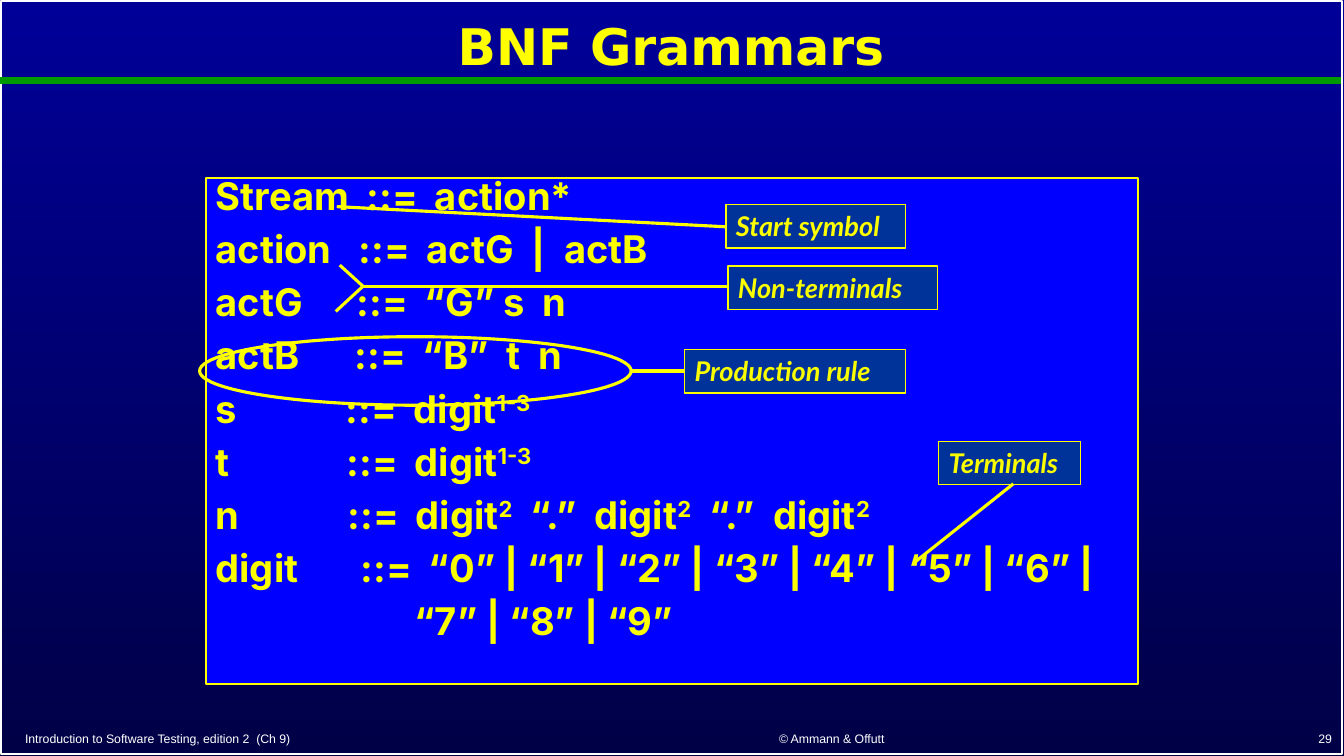
from dataclasses import dataclass

from lxml.etree import SubElement
from pptx import Presentation
from pptx.dml.color import RGBColor
from pptx.enum.shapes import MSO_CONNECTOR, MSO_SHAPE
from pptx.enum.text import MSO_ANCHOR, PP_ALIGN
from pptx.oxml.ns import qn
from pptx.util import Inches, Pt


@dataclass(frozen=True)
class Theme:
    """Colours, fonts and sizes of the deck."""
    top: str = "000099"
    bottom: str = "000047"
    white: str = "FFFFFF"
    green: str = "009900"
    yellow: str = "FFFF00"
    lemon: str = "FAFD00"
    panel: str = "0000FF"
    label: str = "003399"
    title_size: float = 36
    grammar_size: float = 27.2
    label_size: float = 19.4
    footer_size: float = 8.8


@dataclass(frozen=True)
class Box:
    """A region measured in grid cells; one cell is a tenth of an inch."""
    column: float
    row: float
    width: float
    height: float

    def inner(self, column, row, width, height):
        """Return a box placed relative to this one."""
        return Box(self.column + column, self.row + row, width, height)

    def emu(self):
        """Return left, top, width and height for python-pptx."""
        return [cells(v) for v in (self.column, self.row, self.width, self.height)]


THEME = Theme()
GRID = Box(0, 0, 133.3, 75)

# Symbol, column of "::=", right-hand side; carets enclose superscripts.
RULES = [
    ("Stream", 15.0, "action*"),
    ("action", 14.2, "actG  |  actB"),
    ("actG", 14.0, "“G” s  n"),
    ("actB", 13.8, "“B”  t  n"),
    ("s", 12.9, "digit^1-3^"),
    ("t", 13.0, "digit^1-3^"),
    ("n", 13.1, "digit^2^  “.”  digit^2^  “.”  digit^2^"),
    ("digit", 14.4, " | ".join(f"“{d}”" for d in range(7)) + " |"),
]
LAST_LINE = " | ".join(f"“{d}”" for d in range(7, 10))
BODY_GAP = 6.75
LAST_INDENT = 19.7

# Text, label box, line ends and text colour, all relative to the panel.
CALLOUTS = [
    ("Non-terminals", (51.8, 8.7, 20.8, 4.3),
     [(15.6, 10.7, 51.8, 10.7), (15.6, 10.7, 13.3, 8.6), (15.6, 10.7, 12.9, 13.2)],
     THEME.lemon),
    ("Terminals", (72.7, 26.1, 14.1, 4.3), [(70.3, 38.1, 80.1, 30.3)], THEME.lemon),
    ("Production rule", (47.5, 17.0, 21.9, 4.3), [(42.1, 19.1, 47.5, 19.1)], THEME.lemon),
    ("Start symbol", (51.6, 2.6, 17.8, 4.3), [(13.0, 2.8, 51.6, 4.8)], THEME.yellow),
]
RULE_OVAL = (-0.6, 15.7, 42.8, 6.8)


def cells(count):
    """Convert grid cells to a length."""
    return Inches(count / 10)


def write_text(frame, text, *, font, size, color, bold=False, italic=False,
               align=PP_ALIGN.LEFT, anchor=MSO_ANCHOR.TOP, spacing=None,
               before=0, tabs=(), indent=0, new=False):
    """Write one paragraph, raising the pieces enclosed by carets."""
    frame.word_wrap = True
    frame.vertical_anchor = anchor
    para = frame.add_paragraph() if new else frame.paragraphs[0]
    para.alignment = align
    para.line_spacing = spacing
    para.space_before = Pt(before)
    properties = para._p.get_or_add_pPr()
    if indent:
        properties.set("marL", str(cells(indent)))
    if tabs:
        stops = SubElement(properties, qn("a:tabLst"))
        for column in tabs:
            SubElement(stops, qn("a:tab"), pos=str(cells(column)), algn="l")
    for index, piece in enumerate(text.split("^")):
        if not piece:
            continue
        span = para.add_run()
        span.text = piece
        span.font.name, span.font.size = font, Pt(size)
        span.font.bold, span.font.italic = bold, italic
        span.font.color.rgb = RGBColor.from_string(color)
        if index % 2:
            span.font._element.set("baseline", "30000")


def add_outline(shapes, box, color, weight, fill=None, kind=MSO_SHAPE.RECTANGLE):
    """Add an outlined shape with an optional fill."""
    shape = shapes.add_shape(kind, *box.emu())
    shape.shadow.inherit = False
    shape.line.color.rgb = RGBColor.from_string(color)
    shape.line.width = Pt(weight)
    if fill:
        shape.fill.solid()
        shape.fill.fore_color.rgb = RGBColor.from_string(fill)
    else:
        shape.fill.background()
    return shape


def add_line(shapes, box, ends, color, weight):
    """Add a straight line whose ends are relative to the box."""
    x1, y1, x2, y2 = ends
    line = shapes.add_connector(
        MSO_CONNECTOR.STRAIGHT,
        cells(box.column + x1), cells(box.row + y1),
        cells(box.column + x2), cells(box.row + y2))
    line.line.color.rgb = RGBColor.from_string(color)
    line.line.width = Pt(weight)
    SubElement(line._element.spPr, qn("a:effectLst"))


def add_backdrop(page, box):
    """Paint the gradient, the page frame and the line under the title."""
    fill = page.background.fill
    fill.gradient()
    fill.gradient_angle = 270
    for stop, color in zip(fill.gradient_stops, (THEME.top, THEME.bottom)):
        stop.color.rgb = RGBColor.from_string(color)
    add_outline(page.shapes, box.inner(0.1, 0.1, 133, 74.7), THEME.white, 1)
    add_line(page.shapes, box, (0, 8, 133, 8), THEME.green, 4.5)


def add_title(page, box):
    """Write the slide title centred in its box."""
    write_text(page.shapes.add_textbox(*box.emu()).text_frame, "BNF Grammars",
               font="DejaVu Sans", size=THEME.title_size, color=THEME.yellow, bold=True,
               align=PP_ALIGN.CENTER, anchor=MSO_ANCHOR.MIDDLE, spacing=0.9)


def add_footer(page, box):
    """Write the book, the authors and the page number along the bottom."""
    for text, column, width, align in (
            ("Introduction to Software Testing, edition 2  (Ch 9)", 0, 56.9, PP_ALIGN.LEFT),
            ("© Ammann & Offutt", 59.9, 42.2, PP_ALIGN.CENTER),
            ("29", 103.8, 27.8, PP_ALIGN.RIGHT)):
        field = box.inner(column, 0, width, box.height)
        write_text(page.shapes.add_textbox(*field.emu()).text_frame, text,
                   font="Arial", size=THEME.footer_size, color=THEME.white,
                   align=align, anchor=MSO_ANCHOR.BOTTOM)


def add_grammar(page, box):
    """Write the grammar rules in a panel, aligned by tab stops."""
    frame = add_outline(page.shapes, box, THEME.yellow, 1.5, THEME.panel).text_frame
    style = dict(font="Inter", size=THEME.grammar_size, color=THEME.lemon,
                 bold=True, spacing=0.75)
    for index, (symbol, column, body) in enumerate(RULES):
        write_text(frame, f"{symbol}\t::=\t{body}", tabs=(column, column + BODY_GAP),
                   before=13.4 if index else 0, new=index > 0, **style)
    write_text(frame, LAST_LINE, indent=LAST_INDENT, before=13.4, new=True, **style)


def add_callouts(page, box):
    """Add the labels with their lines, and the oval round one rule."""
    for text, place, lines, color in CALLOUTS:
        shapes = page.shapes.add_group_shape().shapes
        label = add_outline(shapes, box.inner(*place), THEME.yellow, 1, THEME.label)
        write_text(label.text_frame, text, font="Lato", size=THEME.label_size,
                   color=color, bold=True, italic=True)
        for ends in lines:
            add_line(shapes, box, ends, THEME.yellow, 2.25)
        if text == "Production rule":
            add_outline(shapes, box.inner(*RULE_OVAL), THEME.yellow, 2.25,
                        kind=MSO_SHAPE.OVAL)


def build_grammar_page(deck, box):
    """Build the slide from its regions."""
    page = deck.slides.add_slide(deck.slide_layouts[6])
    panel = box.inner(20.4, 17.7, 92.5, 50.2)
    add_backdrop(page, box)
    add_footer(page, box.inner(1.5, 71.9, 131.6, 2.6))
    add_title(page, box.inner(1.3, 0.5, 130.5, 8.8))
    add_grammar(page, panel)
    add_callouts(page, panel)


deck = Presentation()
deck.slide_width, deck.slide_height = cells(GRID.width), cells(GRID.height)
build_grammar_page(deck, GRID)
deck.save("out.pptx")
